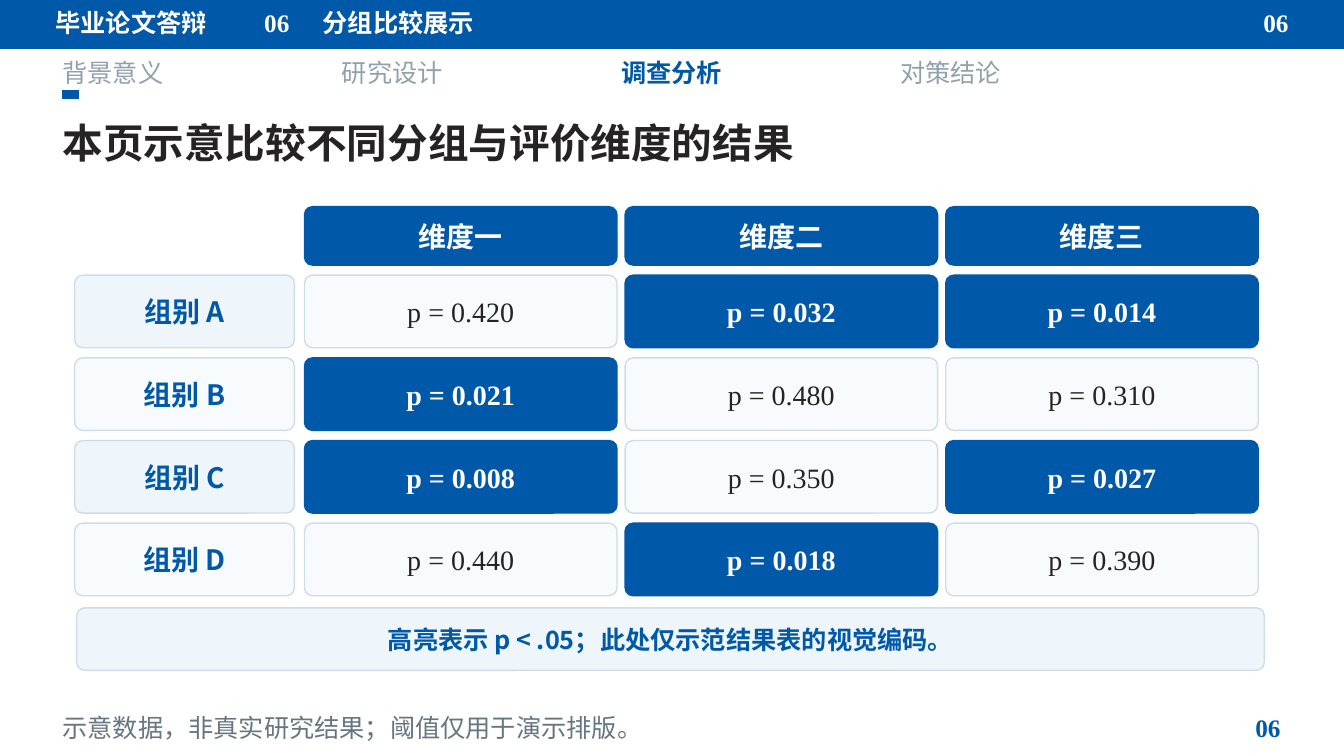
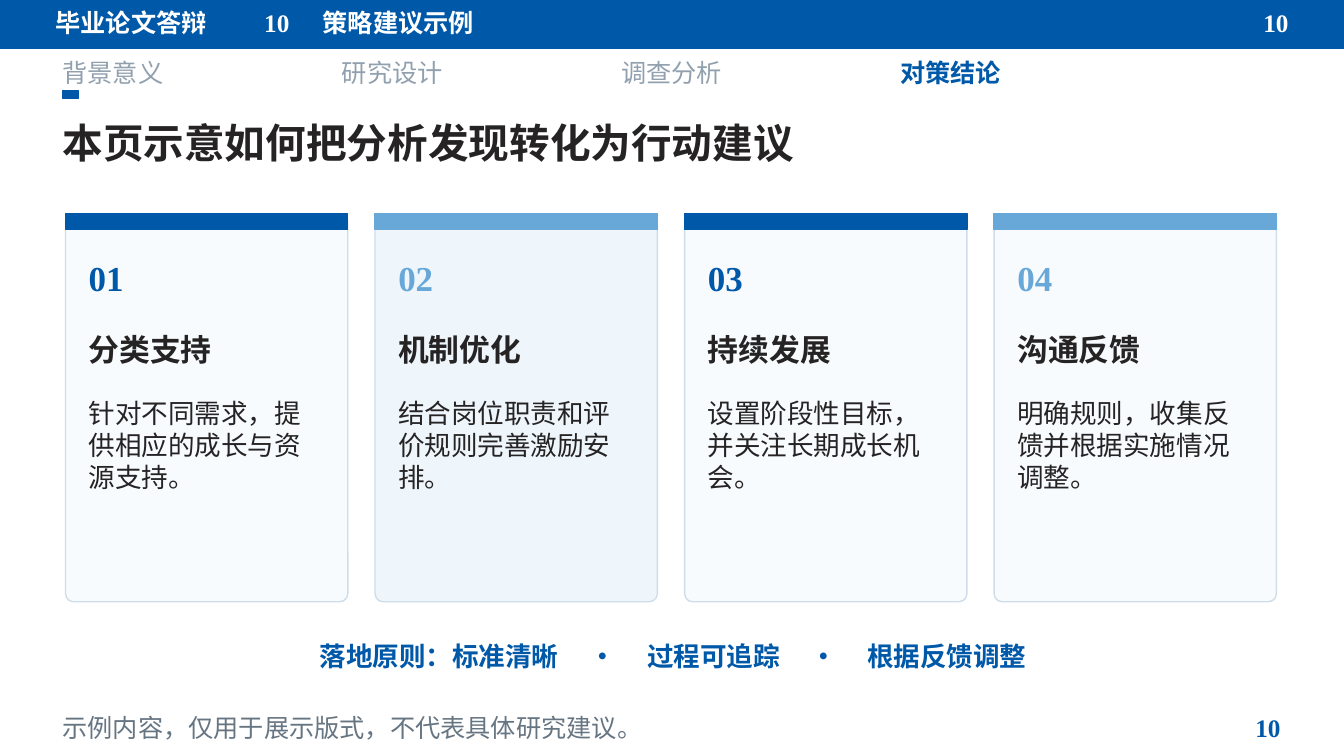
from dataclasses import dataclass
from typing import NamedTuple

from lxml import etree
from pptx import Presentation
from pptx.dml.color import RGBColor
from pptx.enum.shapes import MSO_SHAPE
from pptx.enum.text import MSO_ANCHOR, MSO_AUTO_SIZE, PP_ALIGN
from pptx.oxml.ns import qn
from pptx.util import Inches, Pt

RECTANGLE, ROUNDED = MSO_SHAPE.RECTANGLE, MSO_SHAPE.ROUNDED_RECTANGLE
LEFT, CENTER, RIGHT = PP_ALIGN.LEFT, PP_ALIGN.CENTER, PP_ALIGN.RIGHT
TOP, MIDDLE = MSO_ANCHOR.TOP, MSO_ANCHOR.MIDDLE
NO_AUTOFIT = MSO_AUTO_SIZE.NONE
TITLE_ONLY = 5


@dataclass(frozen=True)
class Theme:
    blue: str = "0058A8"
    sky: str = "68A8D8"
    pale: str = "EEF5FB"
    mist: str = "F8FBFE"
    border: str = "CEDDE9"
    ink: str = "252323"
    gray: str = "667582"
    faded: str = "91A0AE"
    white: str = "FFFFFF"
    heading_font: str = "Noto Sans CJK JP"
    body_font: str = "Noto Sans CJK SC"
    number_font: str = "Times New Roman"
    small: int = 18
    body: int = 19
    cell: int = 20
    card_title: int = 22
    card_number: int = 25
    title: int = 29
    radius: float = 0.08


THEME = Theme()


class Box(NamedTuple):
    """A rectangle in inches."""
    left: float
    top: float
    width: float
    height: float

    def inner(self, left, top, width, height):
        """A box whose corner is given relative to this one."""
        return Box(self.left + left, self.top + top, width, height)

    def emu(self):
        return [Inches(round(length, 2)) for length in self]


class Style(NamedTuple):
    font: str
    size: int
    color: str
    bold: bool = True
    align: PP_ALIGN = LEFT
    anchor: MSO_ANCHOR = MIDDLE


BAR_TEXT = Style(THEME.heading_font, THEME.small, THEME.white)
BAR_NUMBER = BAR_TEXT._replace(font=THEME.number_font)
TAB_ACTIVE = BAR_TEXT._replace(color=THEME.blue)
TAB_IDLE = BAR_TEXT._replace(color=THEME.faded, bold=False)
TITLE = Style(THEME.heading_font, THEME.title, THEME.ink)
FOOTNOTE = Style(THEME.body_font, THEME.small, THEME.gray, bold=False)
PAGE_NUMBER = Style(THEME.number_font, THEME.small, THEME.blue, align=RIGHT)
COLUMN_HEAD = Style(THEME.heading_font, THEME.cell, THEME.white, align=CENTER)
ROW_HEAD = COLUMN_HEAD._replace(color=THEME.blue)
SIGNIFICANT = COLUMN_HEAD._replace(font=THEME.number_font)
ORDINARY = SIGNIFICANT._replace(color=THEME.ink, bold=False)
LEGEND = Style(THEME.body_font, THEME.small, THEME.blue, align=CENTER)
CARD_TITLE = Style(THEME.heading_font, THEME.card_title, THEME.ink)
CARD_BODY = Style(THEME.body_font, THEME.body, THEME.ink, bold=False, anchor=TOP)
PRINCIPLE = Style(THEME.body_font, THEME.body, THEME.blue)

SECTIONS = ["背景意义", "研究设计", "调查分析", "对策结论"]
DIMENSIONS = ["维度一", "维度二", "维度三"]
P_VALUES = {
    "组别 A": ["0.420", "0.032", "0.014"],
    "组别 B": ["0.021", "0.480", "0.310"],
    "组别 C": ["0.008", "0.350", "0.027"],
    "组别 D": ["0.440", "0.018", "0.390"],
}
SIGNIFICANCE_LEVEL = 0.05
CARDS = [
    ("分类支持", "针对不同需求，提供相应的成长与资源支持。", THEME.blue, THEME.mist),
    ("机制优化", "结合岗位职责和评价规则完善激励安排。", THEME.sky, THEME.pale),
    ("持续发展", "设置阶段性目标，并关注长期成长机会。", THEME.blue, THEME.mist),
    ("沟通反馈", "明确规则，收集反馈并根据实施情况调整。", THEME.sky, THEME.mist),
]
PRINCIPLES = ["落地原则：标准清晰", "·", "过程可追踪", "·", "根据反馈调整"]
PRINCIPLE_TABS = [(2.81, "ctr"), (3.25, "l"), (5.0, "ctr"), (5.43, "l")]


def set_attributes(target, values):
    for name, value in values.items():
        setattr(target, name, value)


def write_text(shape, text, style):
    frame = shape.text_frame
    set_attributes(frame, {
        "word_wrap": True, "auto_size": NO_AUTOFIT,
        "vertical_anchor": style.anchor, "margin_left": 0,
        "margin_top": 0, "margin_right": 0, "margin_bottom": 0,
    })
    paragraph = frame.paragraphs[0]
    paragraph.alignment = style.align
    run = paragraph.add_run()
    run.text = text
    set_attributes(run.font, {
        "name": style.font, "size": Pt(style.size), "bold": style.bold,
    })
    run.font.color.rgb = RGBColor.from_string(style.color)
    # Chinese characters take their typeface from a:ea
    latin = run.font._element.find(qn("a:latin"))
    east_asian = etree.Element(qn("a:ea"), typeface=style.font)
    latin.addnext(east_asian)
    return paragraph


def add_text(slide, box, text, style):
    return write_text(slide.shapes.add_textbox(*box.emu()), text, style)


def add_panel(slide, box, fill, line=None, kind=RECTANGLE):
    shape = slide.shapes.add_shape(kind, *box.emu())
    if kind == ROUNDED:
        shape.adjustments[0] = THEME.radius / min(box.width, box.height)
    shape.shadow.inherit = False
    shape.fill.solid()
    shape.fill.fore_color.rgb = RGBColor.from_string(fill)
    shape.line.color.rgb = RGBColor.from_string(line or fill)
    shape.line.width = Pt(1)
    return shape


def add_tab_stops(paragraph, stops):
    properties = paragraph._p.get_or_add_pPr()
    tab_list = etree.SubElement(properties, qn("a:tabLst"))
    for position, align in stops:
        etree.SubElement(tab_list, qn("a:tab"), pos=str(Inches(position)), algn=align)


def add_top_bar(slide, box, number, topic):
    add_panel(slide, box, THEME.blue)
    add_text(slide, box.inner(0.55, 0.07, 2.05, 0.3), "毕业论文答辩", BAR_TEXT)
    add_text(slide, box.inner(2.62, 0.07, 0.55, 0.3), number, BAR_NUMBER)
    add_text(slide, box.inner(3.2, 0.07, 5.55, 0.3), topic, BAR_TEXT)
    add_text(slide, box.inner(12.23, 0.07, 0.55, 0.3), number,
             BAR_NUMBER._replace(align=RIGHT))


def add_navigation(slide, box, active):
    pitch = 2.77
    for index, section in enumerate(SECTIONS):
        style = TAB_ACTIVE if section == active else TAB_IDLE
        add_text(slide, box.inner(index * pitch, 0, 2.15, box.height), section, style)
    add_panel(slide, box.inner(0, 0.33, 0.16, 0.08), THEME.blue)


def add_title(slide, box, text):
    title = slide.shapes.title
    set_attributes(title, dict(zip(("left", "top", "width", "height"), box.emu())))
    write_text(title, text, TITLE)


def add_footer(slide, box, note, number):
    add_text(slide, box.inner(0, 0, 11.1, box.height), note, FOOTNOTE)
    add_text(slide, box.inner(box.width - 0.55, 0, 0.55, box.height), number, PAGE_NUMBER)


def add_framed_slide(presentation, number, topic, section, title, note):
    """Add a slide with the bar, navigation, title and footer all slides share."""
    slide = presentation.slides.add_slide(presentation.slide_layouts[TITLE_ONLY])
    add_top_bar(slide, Box(0, 0, 13.33, 0.48), number, topic)
    add_navigation(slide, Box(0.62, 0.57, 10.46, 0.29), section)
    add_title(slide, Box(0.62, 1.05, 12.1, 0.72), title)
    add_footer(slide, Box(0.62, 7.08, 12.08, 0.28), note, number)
    return slide


def add_result_grid(slide, box):
    label_width, head_height = 2.18, 0.58
    row_gap, column_gap = 0.1, 0.08
    first_column, first_row = label_width + 0.1, head_height + row_gap
    cell_width = (box.width - first_column + column_gap) / len(DIMENSIONS) - column_gap
    cell_height = (box.height - first_row + row_gap) / len(P_VALUES) - row_gap
    columns = [first_column + index * (cell_width + column_gap)
               for index in range(len(DIMENSIONS))]

    for left, dimension in zip(columns, DIMENSIONS):
        head = add_panel(slide, box.inner(left, 0, cell_width, head_height),
                         THEME.blue, kind=ROUNDED)
        write_text(head, dimension, COLUMN_HEAD)

    for row, (group, values) in enumerate(P_VALUES.items()):
        top = first_row + row * (cell_height + row_gap)
        fill = THEME.mist if row % 2 else THEME.pale
        label = add_panel(slide, box.inner(0, top, label_width, cell_height),
                          fill, THEME.border, ROUNDED)
        write_text(label, group, ROW_HEAD)
        for left, value in zip(columns, values):
            if float(value) < SIGNIFICANCE_LEVEL:
                fill, line, style = THEME.blue, THEME.blue, SIGNIFICANT
            else:
                fill, line, style = THEME.mist, THEME.border, ORDINARY
            cell = add_panel(slide, box.inner(left, top, cell_width, cell_height),
                             fill, line, ROUNDED)
            write_text(cell, f"p = {value}", style)


def add_card(slide, box, number, heading, body, accent, fill):
    padding = 0.23
    text_width = box.width - 2 * padding
    add_panel(slide, box, fill, THEME.border, ROUNDED)
    add_panel(slide, box.inner(0, 0, box.width, 0.16), accent)
    number_style = Style(THEME.number_font, THEME.card_number, accent)
    add_text(slide, box.inner(padding, 0.39, 0.72, 0.48), number, number_style)
    add_text(slide, box.inner(padding, 1.07, text_width, 0.55), heading, CARD_TITLE)
    add_text(slide, box.inner(padding, 1.82, text_width, 1.52), body, CARD_BODY)


def add_card_row(slide, box):
    gap = 0.27
    width = (box.width + gap) / len(CARDS) - gap
    for index, card in enumerate(CARDS):
        card_box = box.inner(index * (width + gap), 0, width, box.height)
        add_card(slide, card_box, f"{index + 1:02}", *card)


def build_comparison_slide(presentation):
    slide = add_framed_slide(
        presentation, "06", "分组比较展示", "调查分析",
        "本页示意比较不同分组与评价维度的结果",
        "示意数据，非真实研究结果；阈值仅用于演示排版。")
    add_result_grid(slide, Box(0.74, 2.05, 11.74, 3.86))
    legend = add_panel(slide, Box(0.76, 6.03, 11.78, 0.62),
                       THEME.pale, THEME.border, ROUNDED)
    write_text(legend, "高亮表示 p < .05；此处仅示范结果表的视觉编码。", LEGEND)


def build_strategy_slide(presentation):
    slide = add_framed_slide(
        presentation, "10", "策略建议示例", "对策结论",
        "本页示意如何把分析发现转化为行动建议",
        "示例内容，仅用于展示版式，不代表具体研究建议。")
    add_card_row(slide, Box(0.65, 2.12, 12.01, 3.85))
    paragraph = add_text(slide, Box(3.17, 6.31, 7.2, 0.4),
                         "\t".join(PRINCIPLES), PRINCIPLE)
    add_tab_stops(paragraph, PRINCIPLE_TABS)


def main():
    presentation = Presentation()
    presentation.slide_width = Inches(13.33)
    presentation.slide_height = Inches(7.5)
    build_comparison_slide(presentation)
    build_strategy_slide(presentation)
    presentation.save("out.pptx")


if __name__ == "__main__":
    main()
